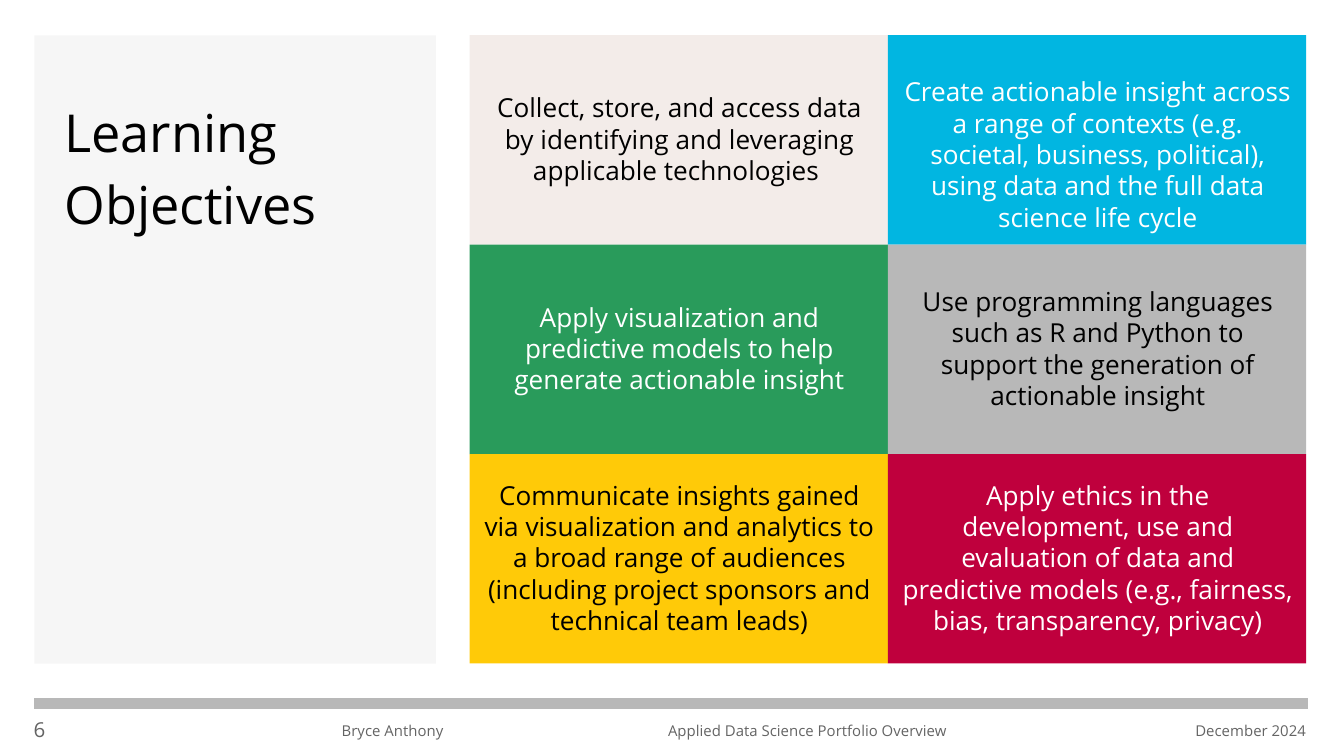
from lxml.etree import SubElement
from pptx import Presentation
from pptx.dml.color import RGBColor
from pptx.enum.shapes import MSO_CONNECTOR, MSO_SHAPE
from pptx.enum.text import MSO_ANCHOR, PP_ALIGN
from pptx.oxml.ns import qn
from pptx.util import Pt

PX = 5715
FONT = "Open Sans"
BLACK, WHITE, GREY = "000000", "FFFFFF", "646464"

TILES = [
    ("F3ECE9", BLACK, 0, "Collect, store, and access data by identifying and "
     "leveraging applicable technologies "),
    ("01B6E1", WHITE, 37, "Create actionable insight across a range of contexts "
     "(e.g. societal, business, political), using data and the full data "
     "science life cycle"),
    ("299B5B", WHITE, 0, "Apply visualization and predictive models to help "
     "generate actionable insight"),
    ("B8B8B8", BLACK, 0, "Use programming languages such as R and Python to "
     "support the generation of actionable insight"),
    ("FFCA08", BLACK, 0, "Communicate insights gained via visualization and "
     "analytics to a broad range of audiences (including project sponsors and "
     "technical team leads)"),
    ("BF003D", WHITE, 0, "Apply ethics in the development, use and evaluation of "
     "data and predictive models (e.g., fairness, bias, transparency, privacy)"),
]


def px(*values):
    return [round(v * PX) for v in values]


def color(hex_value):
    return RGBColor.from_string(hex_value)


def add_rect(s, x, y, w, h, fill):
    sp = s.shapes.add_shape(MSO_SHAPE.RECTANGLE, *px(x, y, w, h))
    sp.shadow.inherit = False
    sp.fill.solid()
    sp.fill.fore_color.rgb = color(fill)
    sp.line.fill.background()


def add_text(s, x, y, w, h, text, size, hex_value, align=PP_ALIGN.LEFT,
             anchor=MSO_ANCHOR.TOP, top=0):
    tf = s.shapes.add_textbox(*px(x, y, w, h)).text_frame
    tf.word_wrap = True
    tf.vertical_anchor = anchor
    tf.margin_left = tf.margin_right = tf.margin_bottom = 0
    tf.margin_top = top * PX
    p = tf.paragraphs[0]
    p.alignment = align
    r = p.add_run()
    r.text = text
    r.font.name = FONT
    r.font.size = Pt(size)
    r.font.color.rgb = color(hex_value)
    return p


def add_title_panel(s, x, y, w, h):
    add_rect(s, x, y, w, h, "F6F6F6")
    p = add_text(s, x + 36, y + 66, 398, 171, "Learning Objectives", 28, BLACK)
    p.line_spacing = 1.15


def add_tiles(s, x, y, w, h, cols=2):
    tile_w, tile_h = w / cols, h / (len(TILES) // cols)
    for i, (fill, ink, top, text) in enumerate(TILES):
        row, col = divmod(i, cols)
        left, upper = x + col * tile_w, y + row * tile_h
        add_rect(s, left, upper, tile_w, tile_h, fill)
        add_text(s, left + 15, upper + 14, 470, 218, text, 14, ink,
                 PP_ALIGN.CENTER, MSO_ANCHOR.MIDDLE, top)


def add_footer(s, x, y, w):
    rule = s.shapes.add_connector(MSO_CONNECTOR.STRAIGHT, *px(x + w, y, x, y))
    rule.line.color.rgb = color("B8B8B8")
    rule.line.width = Pt(6)
    SubElement(rule._element.spPr, qn("a:effectLst"))
    add_text(s, x, y + 16, 80, 30, "6", 11, GREY)
    for dx, text, align in [
        (250, "Bryce Anthony", PP_ALIGN.CENTER),
        (744, "Applied Data Science Portfolio Overview", PP_ALIGN.CENTER),
        (1160, "December 2024", PP_ALIGN.RIGHT),
    ]:
        add_text(s, x + dx, y + 21, 355, 21, text, 8, GREY, align)


def main():
    prs = Presentation()
    prs.slide_width, prs.slide_height = px(1600, 900)
    s = prs.slides.add_slide(prs.slide_layouts[6])
    add_title_panel(s, 41, 42, 478, 748)
    add_tiles(s, 559, 42, 996, 748)
    add_footer(s, 40, 838, 1517)
    prs.save("out.pptx")


if __name__ == "__main__":
    main()
